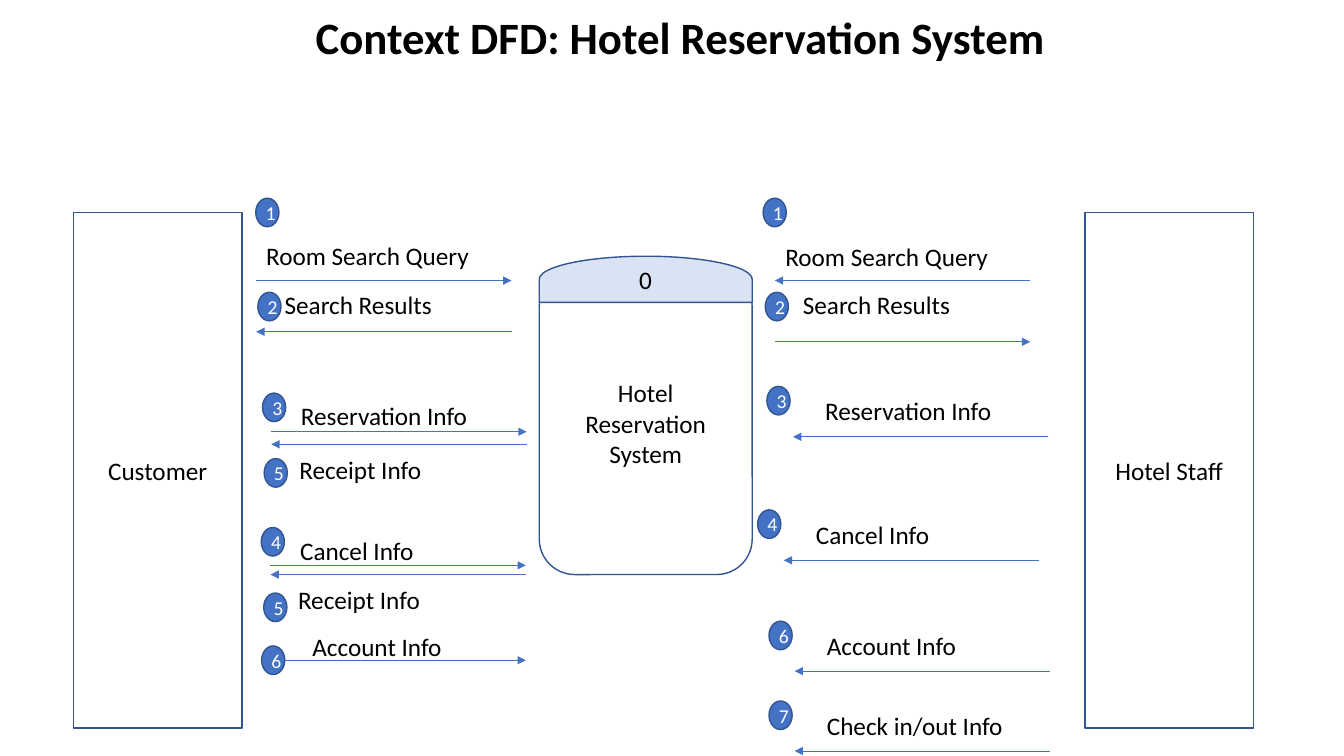
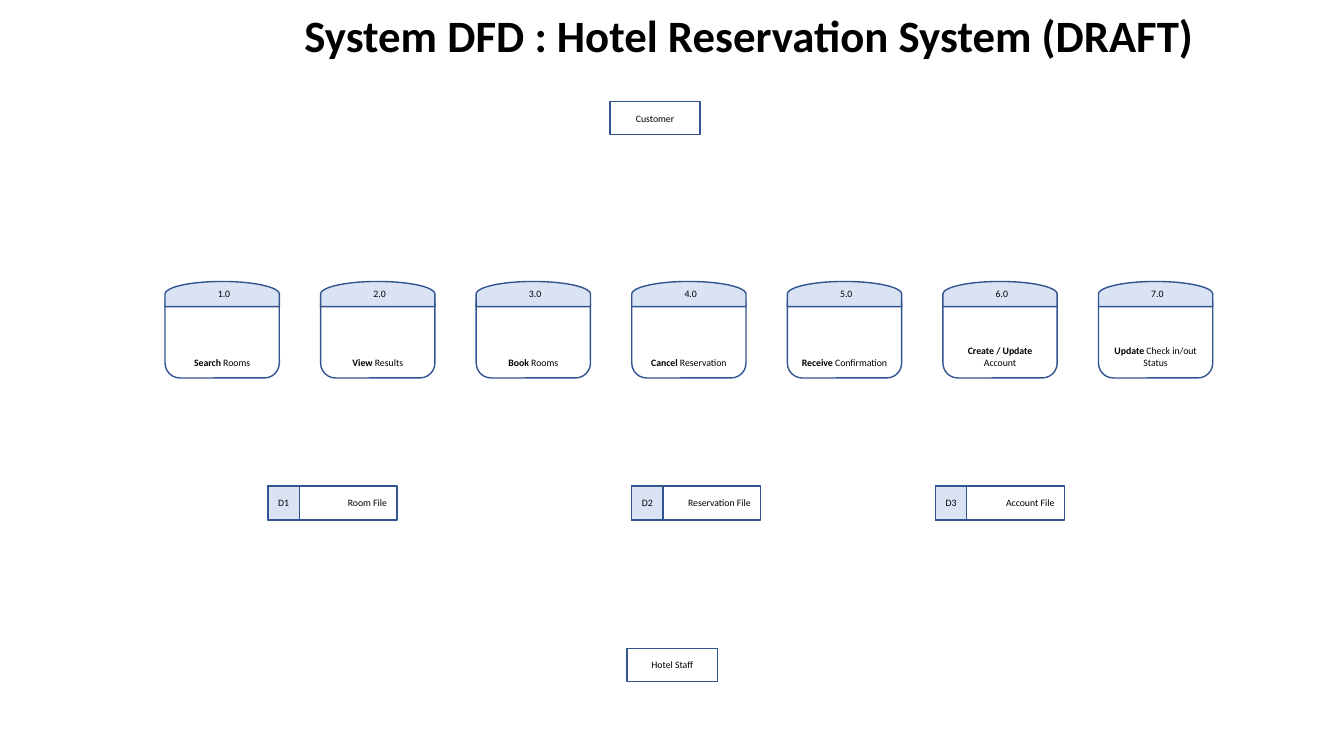
from lxml.etree import SubElement
from pptx import Presentation
from pptx.dml.color import RGBColor
from pptx.enum.shapes import MSO_CONNECTOR, MSO_SHAPE
from pptx.enum.text import MSO_ANCHOR, MSO_AUTO_SIZE, PP_ALIGN
from pptx.oxml.ns import qn
from pptx.util import Inches, Pt

WHITE = RGBColor(0xFF, 0xFF, 0xFF)
BLACK = RGBColor(0x00, 0x00, 0x00)
BLUE = RGBColor(0x44, 0x72, 0xC4)
NAVY = RGBColor(0x32, 0x54, 0x91)
PALE = RGBColor(0xDA, 0xE3, 0xF3)
FONT = "Calibri"
TITLE, BODY, SMALL = 32, 18, 7

deck = Presentation()
deck.slide_width, deck.slide_height = Inches(13.333), Inches(7.5)
UNIT = deck.slide_height / 90  # the slide is a grid of 160 columns by 90 rows


def draw(shapes, kind, at, runs, size, fill=WHITE, ink=BLACK,
         align=PP_ALIGN.CENTER, anchor=MSO_ANCHOR.MIDDLE, wrap=True):
    """Draw an outlined shape, or a text box if kind is None; runs are (text, bold)."""
    place = [round(n * UNIT) for n in at]
    if kind is None:
        shape = shapes.add_textbox(*place)
        shape.text_frame.word_wrap = wrap
        shape.text_frame.auto_size = MSO_AUTO_SIZE.SHAPE_TO_FIT_TEXT
        align = PP_ALIGN.LEFT
    else:
        shape = shapes.add_shape(kind, *place)
        shape.shadow.inherit = False
        shape.fill.solid()
        shape.fill.fore_color.rgb = fill
        shape.line.color.rgb = NAVY
        shape.line.width = Pt(1)
        shape.text_frame.vertical_anchor = anchor
    line = shape.text_frame.paragraphs[0]
    line.alignment = align
    for text, bold in runs:
        run = line.add_run()
        run.text = text
        run.font.name, run.font.size, run.font.bold = FONT, Pt(size), bold
        run.font.color.rgb = ink
    return shape


def process(slide, at, cap, tag, number, runs, size, anchor):
    """Group a rounded body, a domed cap (top, height) and its number at tag."""
    parts = slide.shapes.add_group_shape().shapes
    left, _, width, _ = at
    top, high = cap
    draw(parts, MSO_SHAPE.ROUNDED_RECTANGLE, at, runs, size, anchor=anchor)
    shift = (width - high) / 2
    dome = draw(parts, MSO_SHAPE.FLOWCHART_DELAY,
                (left + shift, top - shift, high, width), [], size, PALE)
    dome.rotation = 270
    draw(parts, None, tag, [(number, False)], size, wrap=False)


blank = deck.slide_layouts[6]
context, system = [deck.slides.add_slide(blank) for _ in range(2)]
for slide, at, title in [
    (context, (36.4, 0.6, 90.1, 7.7), "Context DFD: Hotel Reservation System"),
    (system, (35.04, 0.3, 109.3, 7.7), "System DFD : Hotel Reservation System (DRAFT)"),
]:
    draw(slide.shapes, None, at, [(title, True)], TITLE, wrap=False)

# Outside parties
for slide, at, name, size in [
    (context, (8.75, 25.3, 20.05, 61.4), "Customer", BODY),
    (context, (129.15, 25.3, 20.05, 61.4), "Hotel Staff", BODY),
    (system, (72.6, 12.1, 10.75, 3.95), "Customer", SMALL),
    (system, (74.65, 77.2, 10.75, 3.95), "Hotel Staff", SMALL),
]:
    draw(slide.shapes, MSO_SHAPE.RECTANGLE, at, [(name, False)], size)

# Context diagram
process(context, (64.2, 32.3, 25.35, 36.1), (30.5, 5.5), (74.9, 30.9, 4, 4.8),
        "0", [("Hotel Reservation System", False)], BODY, MSO_ANCHOR.MIDDLE)

REACH = 30.4
EAST, WEST = (0, REACH), (REACH, 0)
# number, badge place, label, label place, arrow place, arrow direction
FLOWS = [
    ("1", (30.45, 23.6), "Room Search Query", (30.5, 28), (30.5, 33.4), EAST),
    ("2", (30.7, 34.8), "Search Results", (32.7, 33.9), (30.5, 39.5), WEST),
    ("3", (31.25, 46.8), "Reservation Info", (34.65, 47.1), (32.3, 51.4), EAST),
    ("5", (31.45, 54.6), "Receipt Info", (34.45, 53.5), (32.3, 52.9), WEST),
    ("4", (31.1, 62.8), "Cancel Info", (34.55, 63.1), (32.2, 67.3), EAST),
    ("5", (31.4, 70.6), "Receipt Info", (34.3, 69), (32.2, 68.4), WEST),
    ("6", (31.15, 76.9), "Account Info", (36, 74.6), (32.2, 78.6), EAST),
    ("1", (90.85, 23.6), "Room Search Query", (92.3, 28.1), (92.25, 33.4), WEST),
    ("2", (91.1, 34.8), "Search Results", (94.4, 33.9), (92.25, 40.7), EAST),
    ("3", (91.3, 46), "Reservation Info", (97.05, 46.5), (94.4, 52), WEST),
    ("4", (90.2, 60.7), "Cancel Info", (95.95, 61.2), (93.3, 66.7), WEST),
    ("6", (91.55, 73.95), "Account Info", (97.25, 74.4), (94.6, 79.9), WEST),
    ("7", (91.55, 83.45), "Check in/out Info", (97.25, 84), (94.6, 89.4), WEST),
]
for number, badge, label, spot, (left, top), (start, end) in FLOWS:
    ends = [round(n * UNIT) for n in (left + start, top, left + end, top)]
    arrow = context.shapes.add_connector(MSO_CONNECTOR.STRAIGHT, *ends)
    arrow.line.color.rgb = BLUE
    arrow.line.width = Pt(0.5)
    look = arrow._element.spPr
    SubElement(look.find(qn("a:ln")), qn("a:tailEnd"), type="triangle")
    SubElement(look, qn("a:effectLst"))
    draw(context.shapes, None, (*spot, 32, 4.8), [(label, False)], BODY)
    draw(context.shapes, MSO_SHAPE.OVAL, (*badge, 2.76, 3.4), [(number, False)],
         14, BLUE, WHITE)

# System diagram
STEPS = [
    ("Search", " Rooms"),
    ("View", " Results"),
    ("Book", " Rooms"),
    ("Cancel", " Reservation"),
    ("Receive ", "Confirmation"),
    ("Create / Update ", "Account"),
    ("Update ", "Check in/out Status"),
]
for index, (verb, noun) in enumerate(STEPS):
    left = 19.65 + index * 18.52
    process(system, (left, 34.4, 13.6, 10.6), (33.5, 3), (left + 5.1, 33.7, 4.4, 2.6),
            f"{index + 1}.0", [(verb, True), (noun, False)], SMALL, MSO_ANCHOR.BOTTOM)

STORES = [(31.9, "Room File"), (75.2, "Reservation File"), (111.35, "Account File")]
for index, (left, name) in enumerate(STORES, 1):
    parts = system.shapes.add_group_shape().shapes
    draw(parts, MSO_SHAPE.RECTANGLE, (left, 57.85, 15.35, 4.05), [(name, False)],
         SMALL, align=PP_ALIGN.RIGHT)
    draw(parts, MSO_SHAPE.RECTANGLE, (left, 57.85, 3.75, 4.05), [(f"D{index}", False)],
         SMALL, PALE)

deck.save("out.pptx")
